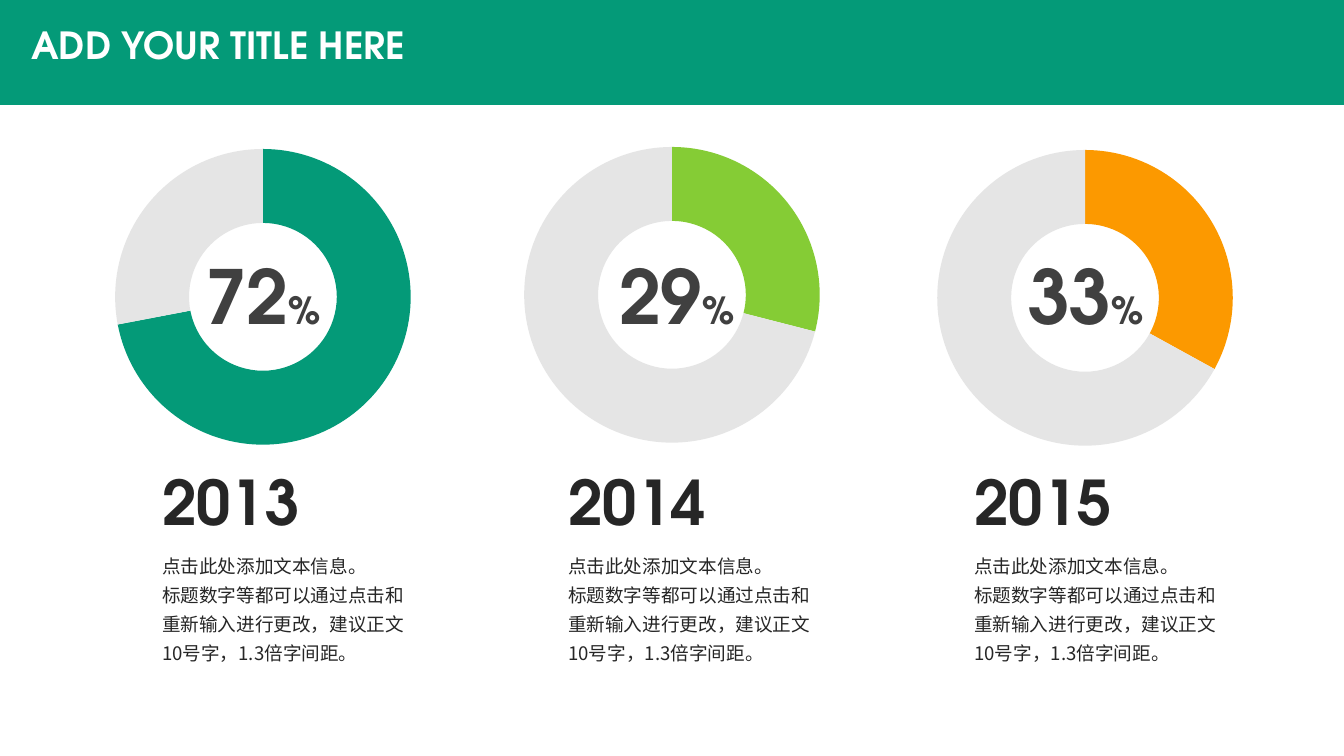
from lxml.etree import SubElement
from pptx import Presentation
from pptx.chart.data import CategoryChartData
from pptx.dml.color import RGBColor
from pptx.enum.chart import XL_CHART_TYPE as ChartType
from pptx.enum.shapes import MSO_SHAPE as Shape
from pptx.enum.text import MSO_ANCHOR as Anchor, MSO_AUTO_SIZE as AutoSize, PP_ALIGN as Align
from pptx.oxml.ns import qn
from pptx.util import Inches, Pt

COLORS = {"green": "049A78", "lime": "85CC35", "orange": "FC9900", "rest": "E5E5E5",
          "percent": "404040", "text": "262626", "white": "FFFFFF"}
LATIN, CHINESE = "TeX Gyre Adventor", "Noto Sans CJK SC"

# Text columns: left edge and pitch; the rings and figures have their own lefts
COLUMN_LEFT, COLUMN_PITCH = 1.51, 4.03
YEAR_TOP, BODY_TOP, PERCENT_TOP = 4.55, 5.39, 2.43
# year, share, color, ring left, ring top, percent left
YEARS = [("2013", 72, "green", 0.2, 1.34, 1.84),
         ("2014", 29, "lime", 4.26, 1.32, 5.95),
         ("2015", 33, "orange", 8.36, 1.35, 10.01)]
BODY = ["点击此处添加文本信息。",
        "标题数字等都可以通过点击和重新输入进行更改，建议正文10号字，1.3倍字间距。"]


def add_run(paragraph, text, size, color, name=LATIN, bold=True):
    run = paragraph.add_run()
    run.text = text
    for key, value in {"size": Pt(size), "name": name, "bold": bold}.items():
        setattr(run.font, key, value)
    run.font.color.rgb = RGBColor.from_string(COLORS[color])
    SubElement(run.font._element, qn("a:ea"), typeface=name)


def add_text_frame(left, top, width, height, wrap=True):
    box = slide.shapes.add_textbox(Inches(left), Inches(top), Inches(width), Inches(height))
    box.text_frame.word_wrap = wrap
    box.text_frame.auto_size = AutoSize.SHAPE_TO_FIT_TEXT
    return box.text_frame


presentation = Presentation()
presentation.slide_width, presentation.slide_height = Inches(13.34), Inches(7.5)
slide = presentation.slides.add_slide(presentation.slide_layouts[5])
title = slide.shapes.title

# Header band, placed behind the title
band = slide.shapes.add_shape(Shape.RECTANGLE, 0, 0, presentation.slide_width, Inches(1.04))
band.shadow.inherit = False
band.fill.solid()
band.fill.fore_color.rgb = RGBColor.from_string(COLORS["green"])
band.line.fill.background()
title._element.addprevious(band._element)

# Title
for key, value in {"left": 0.21, "top": 0.22, "width": 4.01, "height": 0.59}.items():
    setattr(title, key, Inches(value))
for key, value in {"vertical_anchor": Anchor.TOP, "auto_size": AutoSize.NONE,
                   "word_wrap": True}.items():
    setattr(title.text_frame, key, value)
heading = title.text_frame.paragraphs[0]
for key, value in {"alignment": Align.LEFT, "line_spacing": 0.9, "space_before": Pt(0)}.items():
    setattr(heading, key, value)
add_run(heading, "ADD YOUR TITLE HERE", 26.7, "white")

for column, (year, share, color, ring_left, ring_top, percent_left) in enumerate(YEARS):
    left = COLUMN_LEFT + column * COLUMN_PITCH

    # Ring chart
    data = CategoryChartData()
    data.categories = ["1", "2"]
    data.add_series("Series 1", (share, 100 - share))
    chart = slide.shapes.add_chart(ChartType.DOUGHNUT, Inches(ring_left), Inches(ring_top),
                                   Inches(4.82), Inches(3.21), data).chart
    chart.has_legend = chart.has_title = False
    chart.font.size, chart.font.name = Pt(10), LATIN
    chart.font.color.rgb = RGBColor.from_string(COLORS["white"])
    plot = chart.plots[0]
    plot.vary_by_categories = True
    plot._element.find(qn("c:holeSize")).set("val", "75")
    for index, point_color in enumerate((color, "rest")):
        point_format = plot.series[0].points[index].format
        point_format.fill.solid()
        point_format.fill.fore_color.rgb = RGBColor.from_string(COLORS[point_color])
        point_format.line.fill.background()

    # Percentage inside the ring
    paragraph = add_text_frame(percent_left, PERCENT_TOP, 1.54, 1).paragraphs[0]
    paragraph.alignment = Align.CENTER
    add_run(paragraph, str(share), 53.3, "percent")
    add_run(paragraph, "%", 26.7, "percent")

    # Year and description
    year_frame = add_text_frame(left, YEAR_TOP, 1.58, 0.84, wrap=False)
    add_run(year_frame.paragraphs[0], year, 44, "text")
    body_frame = add_text_frame(left, BODY_TOP, 2.71, 1.27)
    for number, line in enumerate(BODY):
        paragraph = body_frame.add_paragraph() if number else body_frame.paragraphs[0]
        paragraph.line_spacing = 1.3
        add_run(paragraph, line, 13.3, "text", CHINESE, False)

presentation.save("out.pptx")
